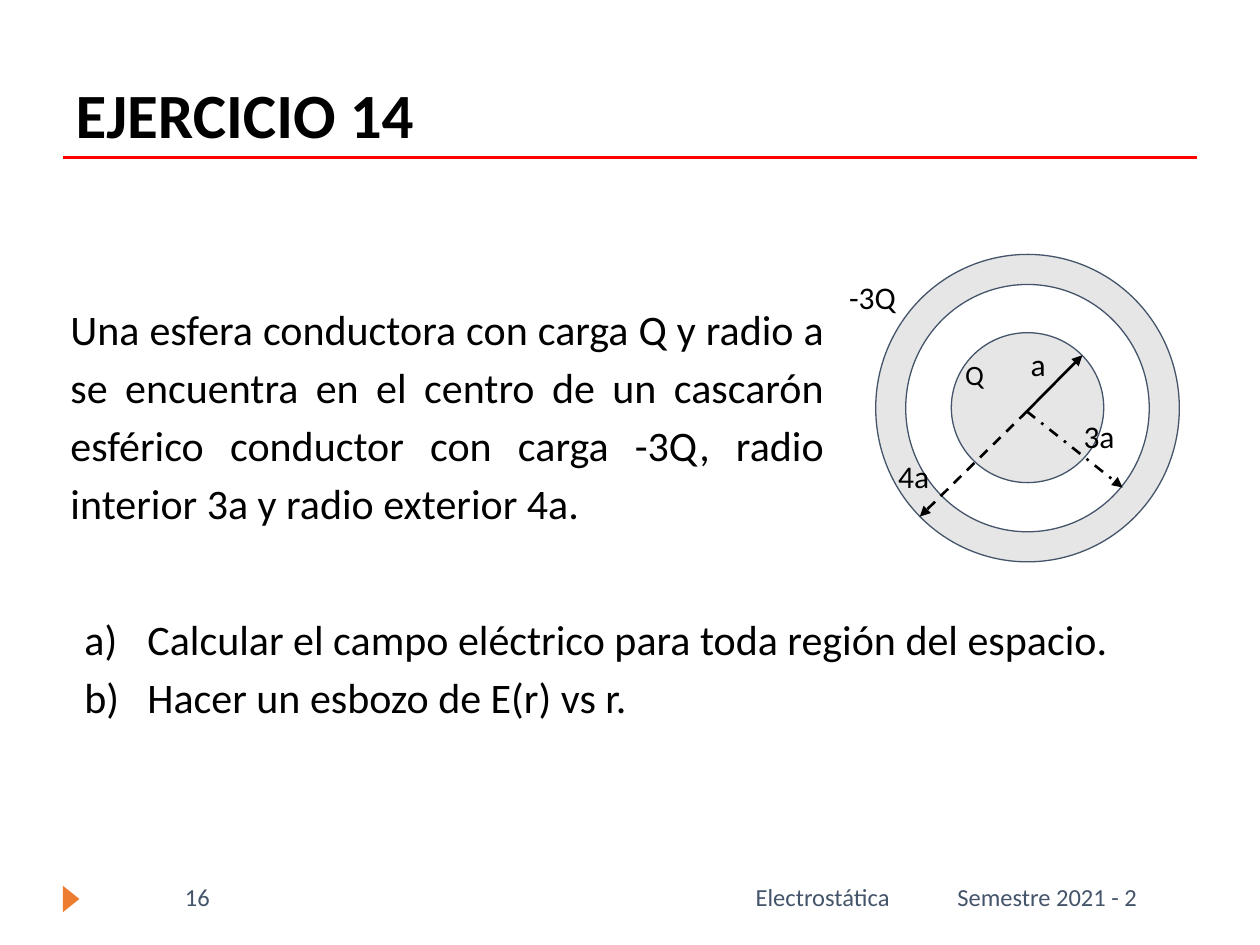
from lxml import etree
from pptx import Presentation
from pptx.dml.color import RGBColor
from pptx.enum.dml import MSO_LINE
from pptx.enum.shapes import MSO_CONNECTOR, MSO_SHAPE
from pptx.enum.text import MSO_ANCHOR, MSO_AUTO_SIZE, PP_ALIGN
from pptx.oxml.ns import qn
from pptx.util import Pt

LEFT, RIGHT, JUSTIFY = PP_ALIGN.LEFT, PP_ALIGN.RIGHT, PP_ALIGN.JUSTIFY
TOP, BOTTOM = MSO_ANCHOR.TOP, MSO_ANCHOR.BOTTOM
DASH, DASH_DOT = MSO_LINE.DASH, MSO_LINE.DASH_DOT
DONUT, OVAL, TRIANGLE = MSO_SHAPE.DONUT, MSO_SHAPE.OVAL, MSO_SHAPE.ISOSCELES_TRIANGLE

FONT = "Calibri"
BLACK, SLATE, GREY, ORANGE, RED = "000000", "44546A", "E7E6E6", "ED7D31", "FF0000"

TITLE = "EJERCICIO 14"
STATEMENT = (
    "Una esfera conductora con carga Q y radio a se encuentra en el centro de un "
    "cascarón esférico conductor con carga -3Q, radio interior 3a y radio exterior 4a."
)
QUESTIONS = [
    "Calcular el campo eléctrico para toda región del espacio.",
    "Hacer un esbozo de E(r) vs r.",
]
FOOTERS = [
    ("16", 98.6, 156, LEFT),
    ("Electrostática", 264.2, 251.3, RIGHT),
    ("Semestre 2021 - 2", 540, 180, LEFT),
]
CENTER = (586.8, 235.1)
RADII = [((618.5, 203), None), ((641.5, 278.6), DASH_DOT), ((525.6, 295.2), DASH)]
LABELS = [
    ("a", 583.9, 192.2, 19.4, 18),
    ("3a", 614.2, 233.3, 38.2, 18),
    ("Q", 546.5, 199.4, 38.2, 16),
    ("-3Q", 480.2, 154.1, 38.2, 18),
    ("4a", 508.3, 256.3, 38.2, 18),
]


def color(hex_code):
    return RGBColor.from_string(hex_code)


def place(part, left, top, width, height):
    part.left, part.top, part.width, part.height = map(Pt, (left, top, width, height))


def write(frame, lines, size, ink=BLACK, align=LEFT, bold=False, spacing=1.0,
          anchor=TOP, inset=None):
    frame.word_wrap = True
    frame.auto_size = MSO_AUTO_SIZE.NONE
    frame.vertical_anchor = anchor
    if inset is not None:
        frame.margin_left = frame.margin_right = Pt(inset)
        frame.margin_top = frame.margin_bottom = Pt(inset)
    frame.text = "\n".join(lines)
    for paragraph in frame.paragraphs:
        paragraph.alignment = align
        paragraph.line_spacing = spacing
        paragraph.space_before = Pt(0)
        font = paragraph.font
        font.name, font.size, font.bold = FONT, Pt(size), bold
        font.color.rgb = color(ink)


def add_text(slide, text, box, size, **style):
    frame = slide.shapes.add_textbox(*map(Pt, box)).text_frame
    write(frame, [text], size, **style)


def add_figure(slide, kind, box, fill, outline=None):
    figure = slide.shapes.add_shape(kind, *map(Pt, box))
    figure.shadow.inherit = False
    figure.fill.solid()
    figure.fill.fore_color.rgb = color(fill)
    if outline:
        figure.line.color.rgb = color(outline)
        figure.line.width = Pt(0.75)
    else:
        figure.line.fill.background()
    return figure


def add_line(slide, start, end, ink, width, dash=None, arrow=False):
    connector = slide.shapes.add_connector(
        MSO_CONNECTOR.STRAIGHT, *map(Pt, (*start, *end)))
    line = connector.line
    line.color.rgb = color(ink)
    line.width = Pt(width)
    if dash:
        line.dash_style = dash
    properties = connector._element.spPr
    if arrow:
        etree.SubElement(properties.find(qn("a:ln")), qn("a:tailEnd"), type="triangle")
    etree.SubElement(properties, qn("a:effectLst"))


def letter_items(frame):
    for paragraph in frame.paragraphs:
        properties = paragraph._p.get_or_add_pPr()
        properties.set("marL", str(Pt(41.75)))
        properties.set("indent", str(Pt(-36)))
        numbering = etree.Element(qn("a:buAutoNum"), type="alphaLcParenR")
        bullet_font = etree.Element(qn("a:buFont"), typeface=FONT)
        defaults = properties.find(qn("a:defRPr"))
        defaults.addprevious(bullet_font)
        defaults.addprevious(numbering)


def main():
    """Build the electrostatics exercise slide."""
    deck = Presentation()
    deck.slide_width, deck.slide_height = Pt(720), Pt(540)
    slide = deck.slides.add_slide(deck.slide_layouts[1])

    marker = add_figure(slide, TRIANGLE, (33.1, 509, 15.1, 9.4), ORANGE)
    marker.rotation = 90
    add_line(slide, (36, 90), (684, 90), RED, 2.25)

    title, questions = slide.placeholders
    place(title, 36, 18, 648, 72)
    write(title.text_frame, [TITLE], 36, bold=True, anchor=BOTTOM)
    place(questions, 35.3, 342.7, 638.6, 72)
    write(questions.text_frame, QUESTIONS, 24, spacing=1.15)
    letter_items(questions.text_frame)
    add_text(slide, STATEMENT, (35.3, 164.2, 440.6, 142.6), 24,
             align=JUSTIFY, spacing=1.15, inset=5)

    shell = add_figure(slide, DONUT, (500.4, 145.4, 173.5, 175.7), GREY, SLATE)
    shell.adjustments[0] = 0.099
    add_figure(slide, OVAL, (543.6, 190.1, 87.1, 85.7), GREY, SLATE)
    for tip, dash in RADII:
        add_line(slide, CENTER, tip, BLACK, 1.5, dash, arrow=True)
    for label, left, top, width, size in LABELS:
        add_text(slide, label, (left, top, width, 20.9), size, inset=5)

    for footer, left, width, align in FOOTERS:
        add_text(slide, footer, (left, 500.4, width, 28.8), 14, ink=SLATE, align=align)

    deck.save("out.pptx")


if __name__ == "__main__":
    main()
